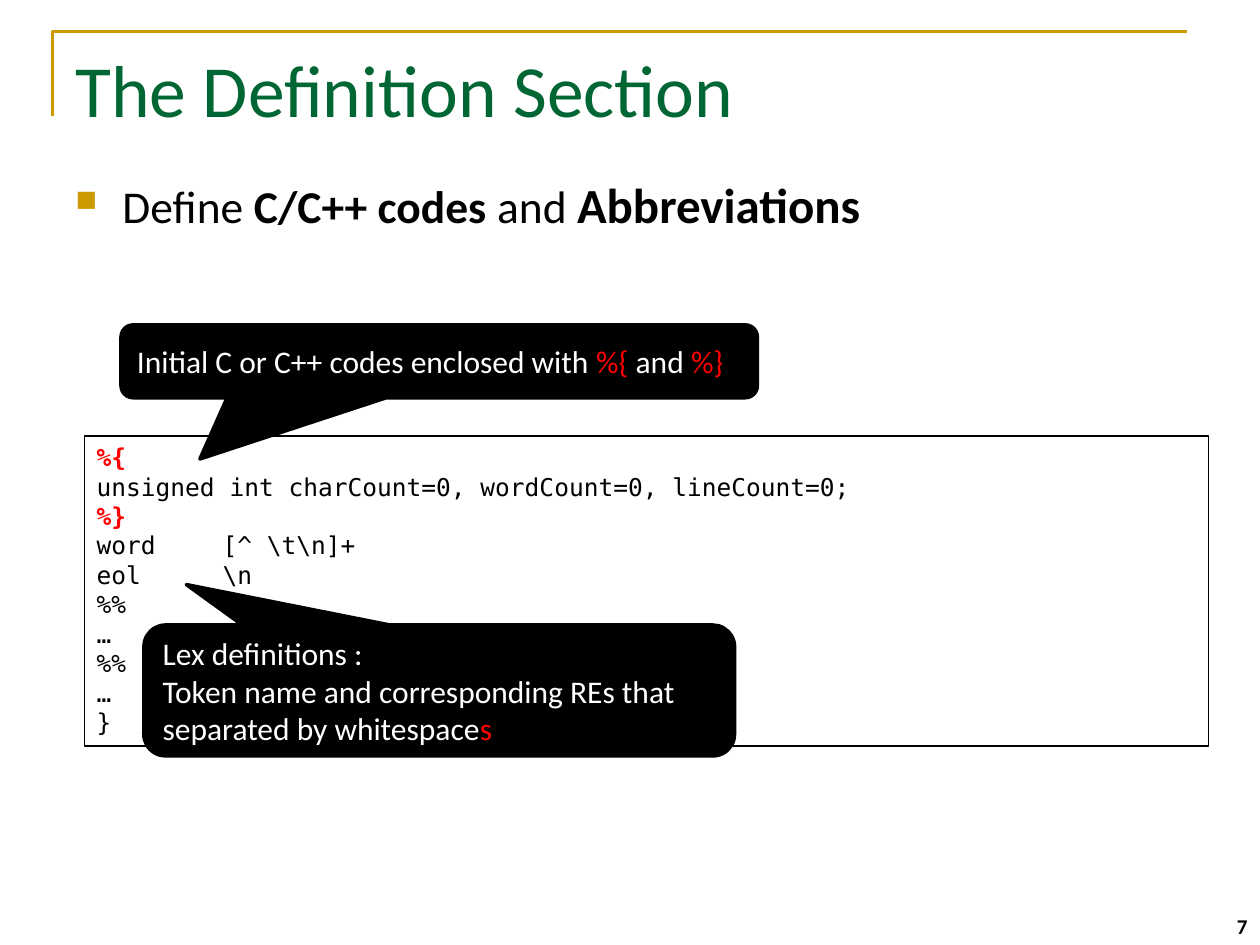
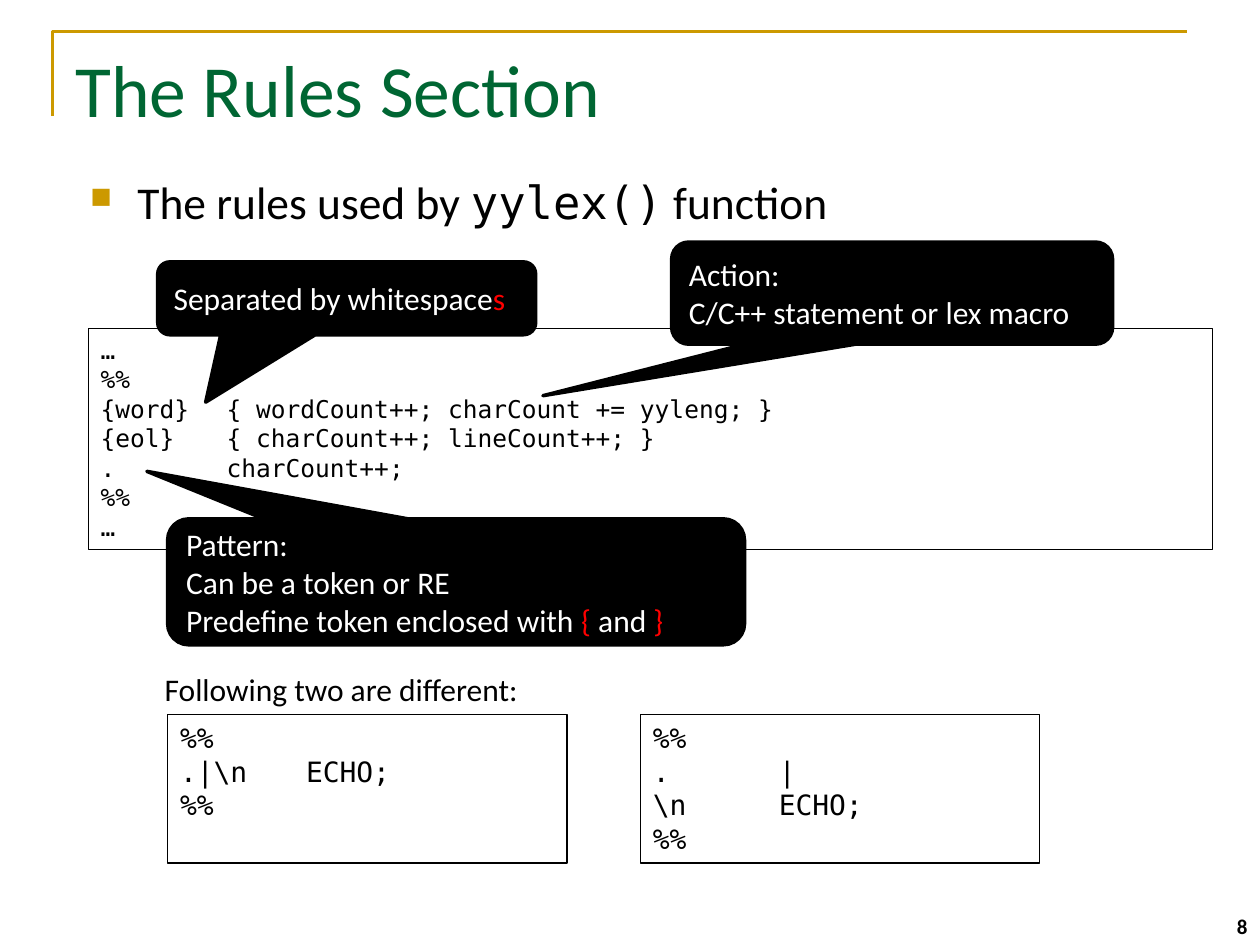
from dataclasses import dataclass

from lxml import etree
from pptx import Presentation
from pptx.dml.color import RGBColor
from pptx.enum.shapes import MSO_SHAPE as SHAPE
from pptx.enum.text import MSO_ANCHOR as ANCHOR, PP_ALIGN as ALIGN
from pptx.oxml.ns import qn
from pptx.util import Cm, Pt


@dataclass(frozen=True)
class Theme:
    """Colours, fonts and type sizes of the deck."""
    gold: str = "CC9900"
    green: str = "006633"
    black: str = "000000"
    white: str = "FFFFFF"
    red: str = "FF0000"
    sans: str = "Calibri"
    mono: str = "DejaVu Sans Mono"
    title: int = 42
    body: int = 26
    strong: int = 28
    note: int = 18
    sample: int = 16
    code: int = 14
    number: int = 12


T = Theme()
TITLE = dict(name=T.sans, size=T.title, color=T.green)
BODY = dict(name=T.sans, size=T.body, color=T.black)
CAPTION = dict(BODY, size=T.note)
CALLOUT = dict(CAPTION, color=T.white)
NUMBER = dict(BODY, size=T.number, bold=True)
CODE = dict(name=T.mono, size=T.code, color=T.black)
SAMPLE = dict(CODE, size=T.sample)
RED = dict(color=T.red)
RED_BOLD = dict(RED, bold=True)
CODE_TAB = Cm(2.54)


def style_font(font, fmt):
    """Apply a dict of format values to a font."""
    for key, value in fmt.items():
        if key == "color":
            font.color.rgb = RGBColor.from_string(value)
        else:
            setattr(font, key, Pt(value) if key == "size" else value)


def write(sp, lines, fmt, anchor=ANCHOR.TOP, align=ALIGN.LEFT):
    """Write lines; a line is a string or a list of strings and (text, changes)."""
    tf = sp.text_frame
    tf.word_wrap = True
    tf.vertical_anchor = anchor
    for i, line in enumerate(lines):
        p = tf.paragraphs[0] if i == 0 else tf.add_paragraph()
        p.alignment = align
        for part in [line] if isinstance(line, str) else line:
            text, changes = (part, {}) if isinstance(part, str) else part
            r = p.add_run()
            r.text = text
            style_font(r.font, {**fmt, **changes})
    return tf


def add_text(slide, box, lines, fmt, **layout):
    """Add a text box filling the given box (cm)."""
    sp = slide.shapes.add_textbox(*map(Cm, box))
    return write(sp, lines, fmt, **layout)


def style_shape(sp, line, width, fill=None):
    """Set outline and fill, and drop the shadow."""
    sp.shadow.inherit = False
    sp.line.color.rgb = RGBColor.from_string(line)
    sp.line.width = Pt(width)
    if fill:
        sp.fill.solid()
        sp.fill.fore_color.rgb = RGBColor.from_string(fill)
    else:
        sp.fill.background()


def corner_rule(slide, box):
    """Draw the gold rule along the left and top edges of the box."""
    x, y, w, h = map(Cm, box)
    builder = slide.shapes.build_freeform(x, y + h)
    builder.add_line_segments([(x, y), (x + w, y)], close=False)
    style_shape(builder.convert_to_shape(), T.gold, 1.5)


def bullet(slide, box, line):
    """Add one body line with a small gold square bullet."""
    p = add_text(slide, box, [line], BODY).paragraphs[0]
    p.space_before = Pt(5)
    pPr = p._p.get_or_add_pPr()
    pPr.set("marL", str(Cm(0.95)))
    pPr.set("indent", str(-Cm(0.95)))
    color = etree.SubElement(pPr, qn("a:buClr"))
    etree.SubElement(color, qn("a:srgbClr"), val=T.gold)
    etree.SubElement(pPr, qn("a:buSzPct"), val="65000")
    etree.SubElement(pPr, qn("a:buChar"), char="■")


def code_box(slide, box, lines, fmt=CODE):
    """Add a thinly framed listing whose second column starts at the code tab."""
    sp = slide.shapes.add_shape(SHAPE.RECTANGLE, *map(Cm, box))
    style_shape(sp, T.black, 0.75)
    for p in write(sp, lines, fmt).paragraphs:
        tabs = etree.SubElement(p._p.get_or_add_pPr(), qn("a:tabLst"))
        etree.SubElement(tabs, qn("a:tab"), pos=str(CODE_TAB), algn="l")


def callout(slide, box, tip, lines):
    """Add a black callout; tip is its point as shares of the box from its centre."""
    sp = slide.shapes.add_shape(SHAPE.ROUNDED_RECTANGULAR_CALLOUT, *map(Cm, box))
    for i, value in enumerate((*tip, 0.167)):
        sp.adjustments[i] = value
    style_shape(sp, T.black, 2, T.black)
    write(sp, lines, CALLOUT, anchor=ANCHOR.MIDDLE)


def sample_row(slide, box, gap, samples):
    """Set listings side by side at equal widths across the box."""
    x, y, w, h = box
    width = (w - gap * (len(samples) - 1)) / len(samples)
    for i, lines in enumerate(samples):
        code_box(slide, (x + i * (width + gap), y, width, h), lines, SAMPLE)


def base_slide(prs, title, number):
    """Add a blank slide with the shared rule, number and title."""
    slide = prs.slides.add_slide(prs.slide_layouts[6])
    corner_rule(slide, (1.06, 0.64, 22.86, 1.7))
    add_text(slide, (19.48, 17.78, 5.92, 1.27), [str(number)], NUMBER,
             anchor=ANCHOR.BOTTOM, align=ALIGN.RIGHT)
    add_text(slide, (1.27, 0.76, 22.86, 3.18), [title], TITLE)
    return slide


def definition_slide(prs):
    """Build the slide on the definition section."""
    slide = base_slide(prs, "The Definition Section", 7)
    bullet(slide, (1.27, 3.4, 22.86, 2.97),
           ["Define ", ("C/C++ codes ", dict(bold=True)), "and ",
            ("Abbreviations", dict(bold=True, size=T.strong))])
    code_box(slide, (1.7, 8.79, 22.66, 6.25), [
        [("%{", RED_BOLD)],
        "unsigned int charCount=0, wordCount=0, lineCount=0;",
        [("%}", RED_BOLD)],
        "word\t[^ \\t\\n]+",
        "eol\t\\n",
        "%%", "…", "%%", "…", "}"])
    callout(slide, (2.44, 6.55, 12.83, 1.47), (-0.376, 1.34),
            [["Initial C or C++ codes enclosed with ", ("%{", RED), " and ", ("%}", RED)]])
    callout(slide, (2.9, 12.6, 11.91, 2.64), (-0.428, -0.809),
            ["Lex definitions :",
             ["Token name and corresponding REs that separated by whitespace", ("s", RED)]])


def rules_slide(prs):
    """Build the slide on the rules section."""
    slide = base_slide(prs, "The Rules Section", 8)
    bullet(slide, (1.57, 3.38, 22.86, 1.47),
           ["The rules used by ", ("yylex()", dict(name=T.mono)), " function"])
    sample_row(slide, (3.38, 14.4, 17.58, 3), 1.48, [
        ["%%", ".|\\n\tECHO;", "%%"],
        ["%%", ".\t|", "\\n\tECHO;", "%%"]])
    code_box(slide, (1.78, 6.63, 22.66, 4.45), [
        "…", "%%",
        "{word}\t{ wordCount++; charCount += yyleng; }",
        "{eol}\t{ charCount++; lineCount++; }",
        ".\tcharCount++;",
        "%%", "…"])
    callout(slide, (3.38, 10.46, 11.63, 2.54), (-0.536, -0.877),
            ["Pattern:", "Can be a token or RE",
             ["Predefine token enclosed with ", ("{ ", RED), "and", (" }", RED)]])
    callout(slide, (3.18, 5.28, 7.62, 1.47), (-0.373, 1.424),
            [["Separated by whitespace", ("s", RED)]])
    callout(slide, (13.54, 4.88, 8.89, 2.06), (-0.792, 1.004),
            ["Action:", "C/C++ statement or lex macro"])
    add_text(slide, (3.07, 13.39, 8.36, 1.02), ["Following two are different:"], CAPTION)


prs = Presentation()
prs.slide_width, prs.slide_height = Cm(25.4), Cm(19.05)
definition_slide(prs)
rules_slide(prs)
prs.save("out.pptx")
